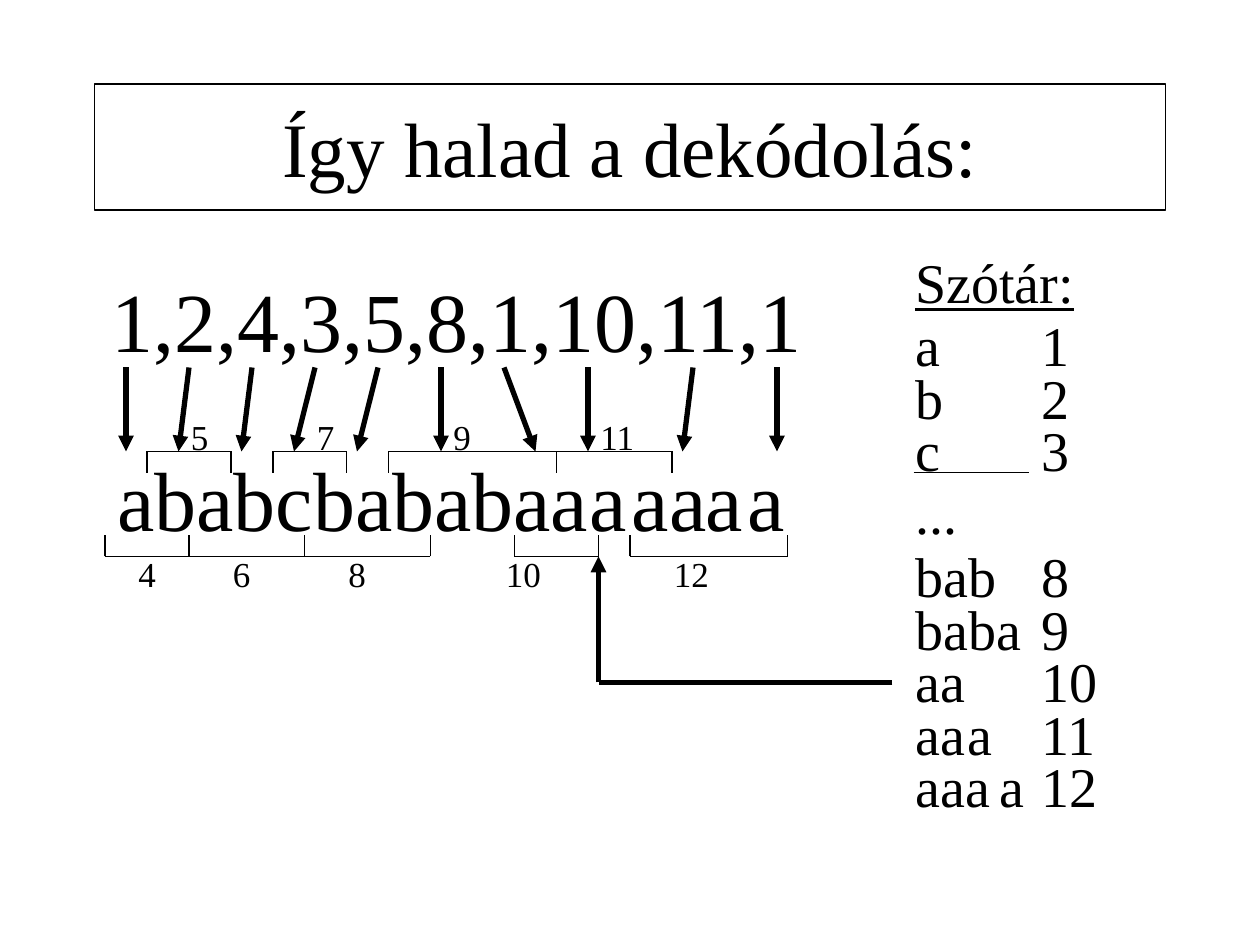
import dataclasses

import pptx
import pptx.dml.color
import pptx.enum.shapes
import pptx.enum.text
import pptx.oxml
import pptx.oxml.ns
import pptx.util
from pptx.util import Inches

BLACK = pptx.dml.color.RGBColor(0, 0, 0)
FONT = "Times New Roman"
GRID_PER_INCH = 12


def grid(steps):
    return Inches(steps / GRID_PER_INCH)


@dataclasses.dataclass
class Box:
    left: int
    top: int
    width: int
    height: int

    def at(self, x, y):
        return self.left + grid(x), self.top + grid(y)


def add_element(parent, tag, **attributes):
    child = pptx.oxml.parse_xml(f"<{tag} {pptx.oxml.ns.nsdecls('a')}/>")
    for name, value in attributes.items():
        child.set(name, str(value))
    parent.append(child)
    return child


def style_text(frame, text, size, centred=False, underline=False):
    para = frame.paragraphs[0]
    if "\t" in text:
        tabs = add_element(para._p.get_or_add_pPr(), "a:tabLst")
        add_element(tabs, "a:tab", pos=Inches(1), algn="l")
    para.text = text
    para.font.name = FONT
    para.font.size = pptx.util.Pt(size)
    para.font.color.rgb = BLACK
    if underline:
        para.font.underline = True
    if centred:
        para.alignment = pptx.enum.text.PP_ALIGN.CENTER


def add_text(page, start, width, height, text, size, wrap=False, **style):
    shape = page.shapes.add_textbox(*start, Inches(width), Inches(height))
    shape.text_frame.word_wrap = wrap
    shape.text_frame.auto_size = pptx.enum.text.MSO_AUTO_SIZE.SHAPE_TO_FIT_TEXT
    style_text(shape.text_frame, text, size, **style)


def add_line(page, start, end, weight=0.75, arrow=False):
    line = page.shapes.add_connector(
        pptx.enum.shapes.MSO_CONNECTOR.STRAIGHT, *start, *end)
    line.line.color.rgb = BLACK
    line.line.width = pptx.util.Pt(weight)
    properties = line._element.spPr
    if arrow:
        add_element(properties.find(pptx.oxml.ns.qn("a:ln")), "a:tailEnd", type="triangle")
    add_element(properties, "a:effectLst")


def add_title(page, box):
    shape = page.shapes.add_shape(
        pptx.enum.shapes.MSO_SHAPE.RECTANGLE, box.left, box.top, box.width, box.height)
    shape.shadow.inherit = False
    shape.fill.background()
    shape.line.color.rgb = BLACK
    shape.line.width = pptx.util.Pt(0.75)
    shape.text_frame.word_wrap = True
    shape.text_frame.vertical_anchor = pptx.enum.text.MSO_ANCHOR.MIDDLE
    style_text(shape.text_frame, "Így halad a dekódolás:", 44, centred=True)


def add_brackets(page, box, brackets, edge, tick, label_top):
    posts = {x for start, end, _, _ in brackets for x in (start, end)}
    for x in sorted(posts):
        add_line(page, box.at(x, edge), box.at(x, tick))
    for start, end, label_left, label in brackets:
        add_line(page, box.at(start, edge), box.at(end, edge))
        width = 0.34 if len(label) == 1 else 0.48
        add_text(page, box.at(label_left, label_top), width, 0.44, label, 20)


def add_decoding(page, box):
    add_text(page, box.at(0, 0), box.width.inches, 0.9, "1,2,4,3,5,8,1,10,11,1", 48,
             wrap=True, centred=True)

    decoded = [(1, 3.95, "ababcbababaa"), (46, 0.5, "a"), (50, 0.8, "aa"),
               (57, 0.5, "a"), (61, 0.5, "a")]
    for x, width, letters in decoded:
        add_text(page, box.at(x, 17), width, 0.9, letters, 48)

    arrows = [(3, 3), (9, 8), (15, 14), (21, 19), (27, 25),
              (33, 33), (39, 42), (47, 47), (57, 56), (65, 65)]
    for code_x, letter_x in arrows:
        add_line(page, box.at(code_x, 10), box.at(letter_x, 18), 3, arrow=True)

    upper = [(5, 13, 8, "5"), (17, 24, 20, "7"), (28, 44, 33, "9"), (44, 55, 47, "11")]
    lower = [(1, 9, 3, "4"), (9, 20, 12, "6"), (20, 32, 23, "8"),
             (40, 48, 38, "10"), (51, 66, 54, "12")]
    add_brackets(page, box, upper, edge=18, tick=20, label_top=14)
    add_brackets(page, box, lower, edge=28, tick=26, label_top=27)

    add_line(page, box.at(76, 40), box.at(48, 40), 3)
    add_line(page, box.at(48, 40), box.at(48, 28), 3, arrow=True)


def add_dictionary(page, box):
    add_text(page, box.at(0, 0), box.width.inches, 0.64, "Szótár:", 32,
             wrap=True, underline=True)
    groups = [
        (6, ["a\t1", "b\t2", "c\t3"]),
        (22, ["..."]),
        (28, ["bab\t8", "baba\t9", "aa\t10", "aa\t11", "aaa\t12"]),
    ]
    for top, entries in groups:
        for row, entry in enumerate(entries):
            width = 1.7 if "\t" in entry else 0.6
            add_text(page, box.at(0, top + 5 * row), width, 0.64, entry, 32, wrap=True)
    for x, y in [(5, 43), (8, 48)]:
        add_text(page, box.at(x, y), 0.4, 0.64, "a", 32)
    add_line(page, box.at(1, 22), box.at(12, 22))


def main():
    deck = pptx.Presentation()
    deck.slide_width = Inches(10)
    deck.slide_height = Inches(7.5)
    page = deck.slides.add_slide(deck.slide_layouts[6])
    add_title(page, Box(Inches(0.75), grid(8), Inches(8.5), Inches(1)))
    add_decoding(page, Box(Inches(0.75), grid(25), Inches(5.75), grid(41)))
    add_dictionary(page, Box(grid(86), grid(23), Inches(2.04), grid(56)))
    deck.save("out.pptx")


if __name__ == "__main__":
    main()
